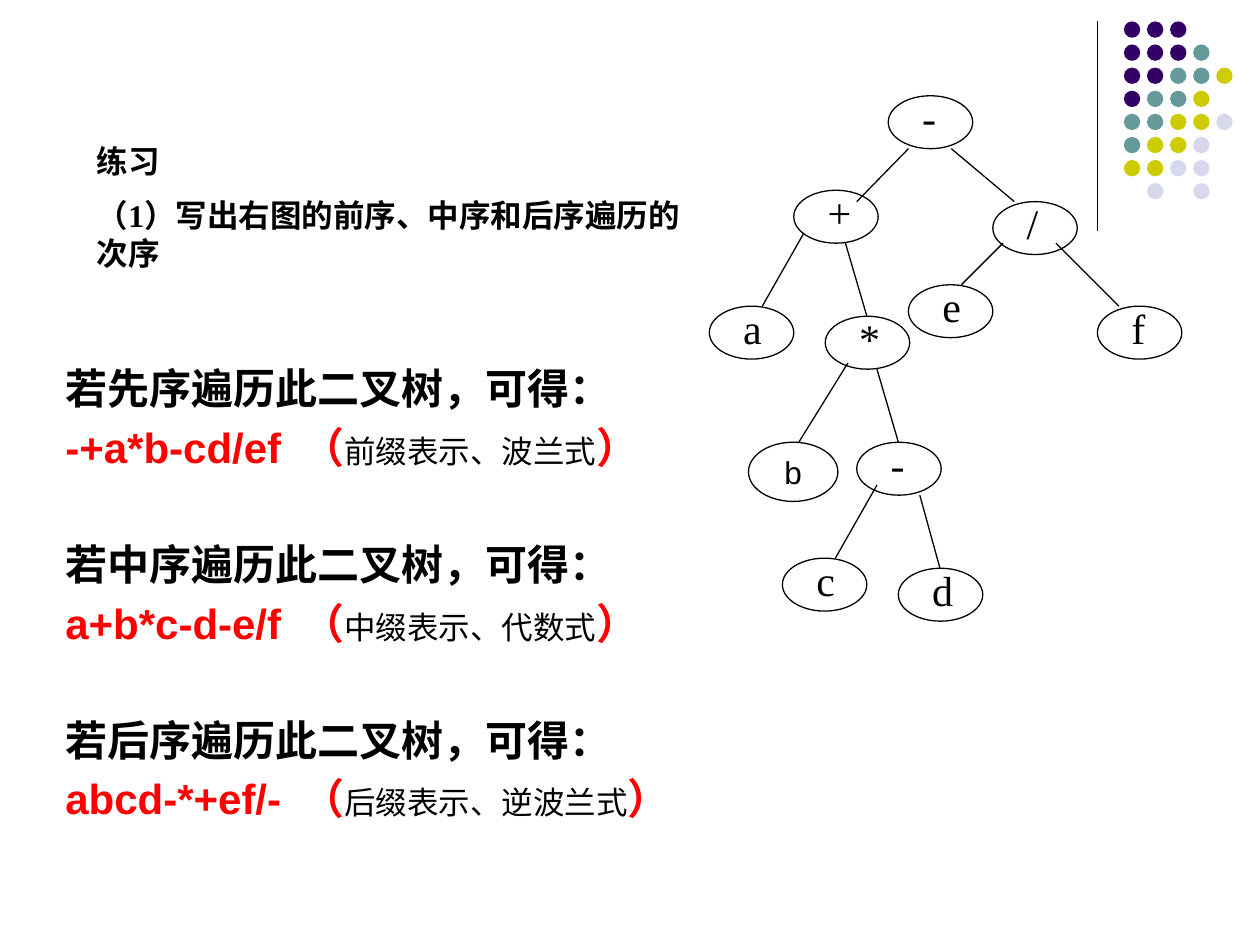
import pptx
import pptx.util
import pptx.dml.color
import pptx.enum.shapes
import pptx.enum.text
import pptx.oxml
import pptx.oxml.ns
from lxml import etree

Inches, Pt = pptx.util.Inches, pptx.util.Pt
OVAL = pptx.enum.shapes.MSO_SHAPE.OVAL
LINE = pptx.enum.shapes.MSO_CONNECTOR.STRAIGHT
BLACK, RED = "000000", "FF0000"


def paint(part, **looks):
    """Colour the fill, line or font of a part from hex strings."""
    for kind, shade in looks.items():
        rgb = pptx.dml.color.RGBColor.from_string(shade)
        if kind == "line":
            part.line.color.rgb = rgb
            part.line.width = Pt(0.75)
        elif kind == "fill":
            part.fill.solid()
            part.fill.fore_color.rgb = rgb
        else:
            part.color.rgb = rgb


def write(para, text, shade=BLACK, **style):
    """Add a run with the given font values."""
    run = para.add_run()
    run.text = text
    for name, value in style.items():
        setattr(run.font, name, value)
    paint(run.font, font=shade)


deck = pptx.Presentation()
deck.slide_width, deck.slide_height = Inches(10), Inches(7.5)
slide = deck.slides.add_slide(deck.slide_layouts[6])
shapes = slide.shapes

# Corner dots: one letter per colour
shades = {"P": "330066", "T": "669999", "Y": "CCCC00", "L": "D8D8EC"}
dots = ["PPP", "PPPT", "PPTTY", "PTTY", "TTYYL", "TYYL", "YYLL", " L L"]
for row, marks in enumerate(dots):
    for col, mark in enumerate(marks):
        if mark in shades:
            dot = shapes.add_shape(OVAL, Inches(8.92 + col * 0.55 / 3),
                                   Inches(0.17 + row * 0.55 / 3),
                                   Inches(0.13), Inches(0.13))
            dot.shadow.inherit = False
            paint(dot, fill=shades[mark])
            dot.line.fill.background()

# Corner rule and tree branches
lines = [
    (8.71, 0.17, 8.71, 1.83),
    (7.21, 1.18, 6.8, 1.6), (7.55, 1.18, 8.05, 1.6),
    (6.38, 1.85, 6.05, 2.43), (6.71, 1.93, 6.88, 2.51),
    (7.96, 1.93, 7.63, 2.26), (8.38, 1.93, 8.88, 2.43),
    (6.73, 2.88, 6.34, 3.51), (6.96, 2.93, 7.13, 3.51),
    (6.96, 3.85, 6.63, 4.43), (7.3, 3.93, 7.46, 4.51),
]
for ends in lines:
    line = shapes.add_connector(LINE, *map(Inches, ends))
    paint(line, line=BLACK)
    etree.SubElement(line._element.spPr, pptx.oxml.ns.qn("a:effectLst"))

# Tree nodes
nodes = [
    ("-", 7.05, 0.76), ("+", 6.3, 1.51), ("/", 7.88, 1.6),
    ("a", 5.63, 2.43), ("*", 6.55, 2.51), ("e", 7.21, 2.26),
    ("f", 8.71, 2.43), ("b", 5.94, 3.51), ("-", 6.8, 3.51),
    ("c", 6.21, 4.43), ("d", 7.13, 4.51),
]
for sign, left, top in nodes:
    wide, high = (0.71, 0.47) if sign == "b" else (0.67, 0.42)
    node = shapes.add_shape(OVAL, Inches(left), Inches(top), Inches(wide), Inches(high))
    node.shadow.inherit = False
    node.fill.background()
    paint(node, line=BLACK)
    if sign == "b":
        node.text_frame.word_wrap = False
        para = node.text_frame.paragraphs[0]
        para.alignment = pptx.enum.text.PP_ALIGN.CENTER
        write(para, sign, size=Pt(18), name="Arial")
    else:
        label = shapes.add_textbox(Inches(left + 0.17), Inches(top - 0.08),
                                   Inches(0.42), Inches(0.5))
        label.text_frame.word_wrap = True
        write(label.text_frame.paragraphs[0], sign, size=Pt(24), name="Times New Roman")

# Task
task = shapes.add_textbox(Inches(0.67), Inches(1.08), Inches(5), Inches(1.6)).text_frame
task.word_wrap = True
write(task.paragraphs[0], "练习", size=Pt(18), name="Times New Roman", bold=True)
para = task.add_paragraph()
para.space_before = Pt(9)
write(para, "（1）写出右图的前序、中序和后序遍历的次序",
      size=Pt(18), name="Times New Roman", bold=True)

# Answers
body = shapes.add_textbox(Inches(0.42), Inches(2.83), Inches(5.25), Inches(3.7)).text_frame
body.word_wrap = True
big = {"size": Pt(24), "name": "Arial", "bold": True}
small = {"size": Pt(18), "name": "Arial", "bold": False}
answers = [
    ("先", "-+a*b-cd/ef", "前缀表示、波兰式"),
    ("中", "a+b*c-d-e/f", "中缀表示、代数式"),
    ("后", "abcd-*+ef/-", "后缀表示、逆波兰式"),
]
for step, (order, result, note) in enumerate(answers):
    head = body.add_paragraph() if step else body.paragraphs[0]
    head.space_before = Pt(38 if step else 0)
    write(head, f"若{order}序遍历此二叉树，可得：", **big)
    para = body.add_paragraph()
    para.space_before = Pt(4.8)
    props = para._p.get_or_add_pPr()
    props.set("marL", str(Inches(0.38)))
    props.set("indent", str(Inches(-0.38)))
    tabs = etree.SubElement(props, pptx.oxml.ns.qn("a:tabLst"))
    etree.SubElement(tabs, pptx.oxml.ns.qn("a:tab"),
                     pos=str(Inches(1.97 + step * 0.09)), algn="l")
    write(para, result + "\t（", RED, **big)
    write(para, note, **small)
    write(para, "）", RED, **big)

deck.save("out.pptx")
